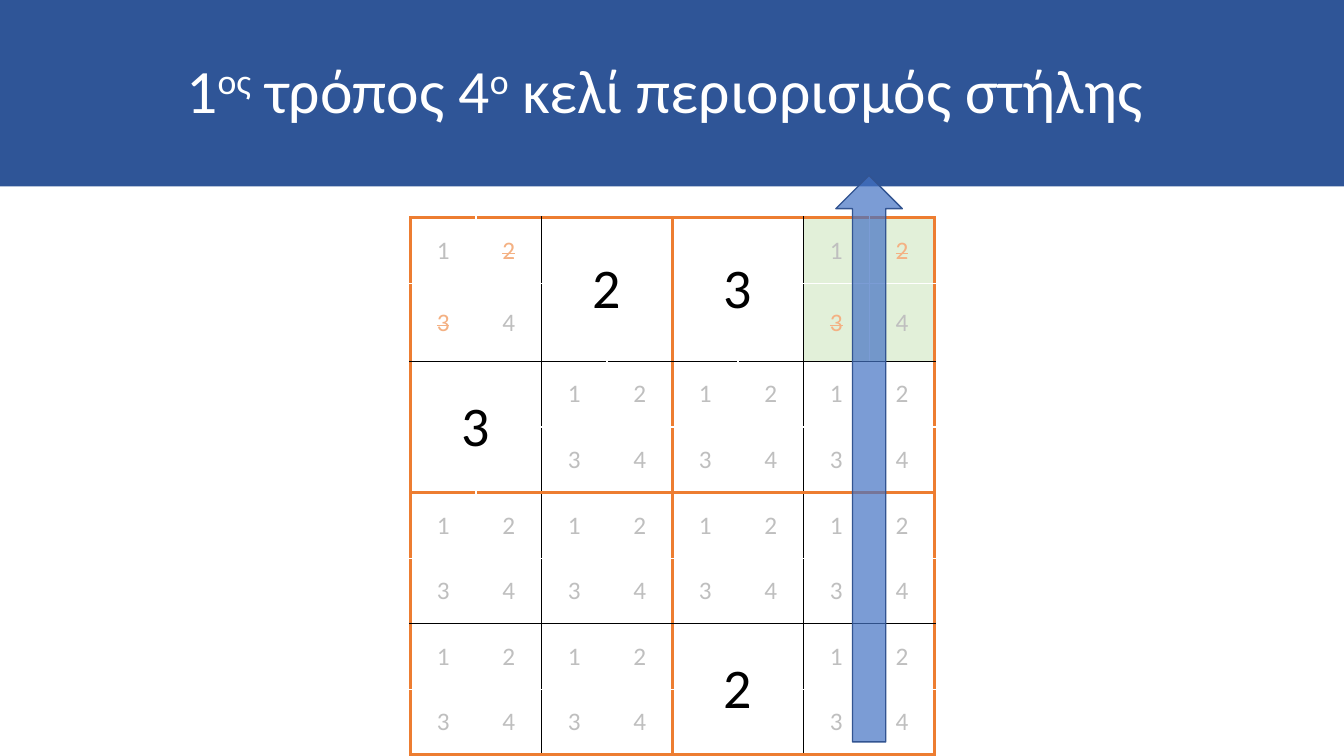
from lxml import etree
from pptx import Presentation
from pptx.dml.color import RGBColor
from pptx.enum.shapes import MSO_SHAPE
from pptx.enum.text import MSO_ANCHOR, PP_ALIGN
from pptx.oxml.ns import qn
from pptx.util import Inches, Pt

RECTANGLE, UP_ARROW = MSO_SHAPE.RECTANGLE, MSO_SHAPE.UP_ARROW
CENTER, MIDDLE = PP_ALIGN.CENTER, MSO_ANCHOR.MIDDLE

FONT = "Calibri"
WHITE, BLACK, ORANGE = "FFFFFF", "000000", "ED7D31"
GREY, PEACH, GREEN = "BFBFBF", "F4B183", "E2F0D9"
SIZE = 4
CELL = 0.65
TALL_ROW, TALL_HEIGHT = 1, 0.77

TITLE = [("1", 0), ("ος", 30), (" τρόπος 4", 0), ("ο", 30),
         (" κελί περιορισμός στήλης ", 0)]
# Sudoku squares as (row, column)
GIVENS = {(0, 1): 2, (0, 2): 3, (1, 0): 3, (3, 2): 2}
STRUCK = {(0, 0): {2, 3}, (0, 3): {2, 3}}
ACTIVE = (0, 3)


def rgb(value):
    return RGBColor.from_string(value)


def add_run(p, text, size, color, **attributes):
    """Add a run; attributes are raw run properties such as strike or baseline."""
    r = p.add_run()
    r.text = text
    for name, value in {"name": FONT, "size": Pt(size)}.items():
        setattr(r.font, name, value)
    r.font.color.rgb = rgb(color)
    for name, value in attributes.items():
        r.font._element.set(name, value)


def add_filled_shape(s, kind, box, color):
    sp = s.shapes.add_shape(kind, *map(Inches, box))
    sp.shadow.inherit = False
    sp.fill.solid()
    sp.fill.fore_color.rgb = rgb(color)
    return sp


def add_title(s):
    sp = add_filled_shape(s, RECTANGLE, (0, 0, 13.33, 1.85), "2F5597")
    sp.line.fill.background()
    tf = sp.text_frame
    tf.word_wrap = True
    tf.vertical_anchor = MIDDLE
    p = tf.paragraphs[0]
    p.alignment = CENTER
    p.line_spacing = 0.9
    for text, raised in TITLE:
        attributes = {"baseline": str(raised * 1000)} if raised else {}
        add_run(p, text, 44, WHITE, **attributes)


def edge_style(index):
    """Colour and width of grid line number index: box, square or inner line."""
    if index % 4 == 0:
        return ORANGE, 2.25
    return (BLACK if index % 2 == 0 else WHITE), 1


def set_borders(cell, row, col, span):
    tcPr = cell._tc.get_or_add_tcPr()
    edges = {"a:lnL": col, "a:lnR": col + span, "a:lnT": row, "a:lnB": row + span}
    for tag, index in edges.items():
        color, width = edge_style(index)
        ln = etree.SubElement(tcPr, qn(tag), w=str(Pt(width)))
        fill = etree.SubElement(ln, qn("a:solidFill"))
        etree.SubElement(fill, qn("a:srgbClr"), val=color)


def fill_cell(cell, row, col):
    square = row // 2, col // 2
    given = GIVENS.get(square)
    set_borders(cell, row, col, 2 if cell.is_merge_origin else 1)
    if square == ACTIVE:
        cell.fill.solid()
        cell.fill.fore_color.rgb = rgb(GREEN)
    else:
        cell.fill.background()
    if cell.is_spanned:
        return
    cell.vertical_anchor = MIDDLE
    p = cell.text_frame.paragraphs[0]
    p.alignment = CENTER
    candidate = row % 2 * 2 + col % 2 + 1
    if given:
        add_run(p, str(given), 40, BLACK)
    elif candidate in STRUCK.get(square, ()):
        add_run(p, str(candidate), 18, PEACH, strike="sngStrike")
    else:
        add_run(p, str(candidate), 18, GREY)


def add_sudoku(s):
    count = SIZE * 2
    side = Inches(CELL * count)
    table = s.shapes.add_table(count, count, Inches(4.07), Inches(2.16), side, side).table
    table.first_row = table.horz_banding = False
    for column in table.columns:
        column.width = Inches(CELL)
    for i, row in enumerate(table.rows):
        row.height = Inches(TALL_HEIGHT if i == TALL_ROW else CELL)
    for row, col in GIVENS:
        table.cell(row * 2, col * 2).merge(table.cell(row * 2 + 1, col * 2 + 1))
    for row in range(count):
        for col in range(count):
            fill_cell(table.cell(row, col), row, col)


def add_column_arrow(s):
    sp = add_filled_shape(s, UP_ARROW, (8.29, 1.74, 0.66, 5.62), "4472C4")
    color = sp.fill._xPr.find(qn("a:solidFill"))[0]
    etree.SubElement(color, qn("a:alpha"), val="70000")
    sp.line.color.rgb = rgb("325491")
    sp.line.width = Pt(1)


def main():
    prs = Presentation()
    prs.slide_width, prs.slide_height = Inches(13.33), Inches(7.5)
    s = prs.slides.add_slide(prs.slide_layouts[6])
    add_title(s)
    add_sudoku(s)
    add_column_arrow(s)
    prs.save("out.pptx")


if __name__ == "__main__":
    main()
